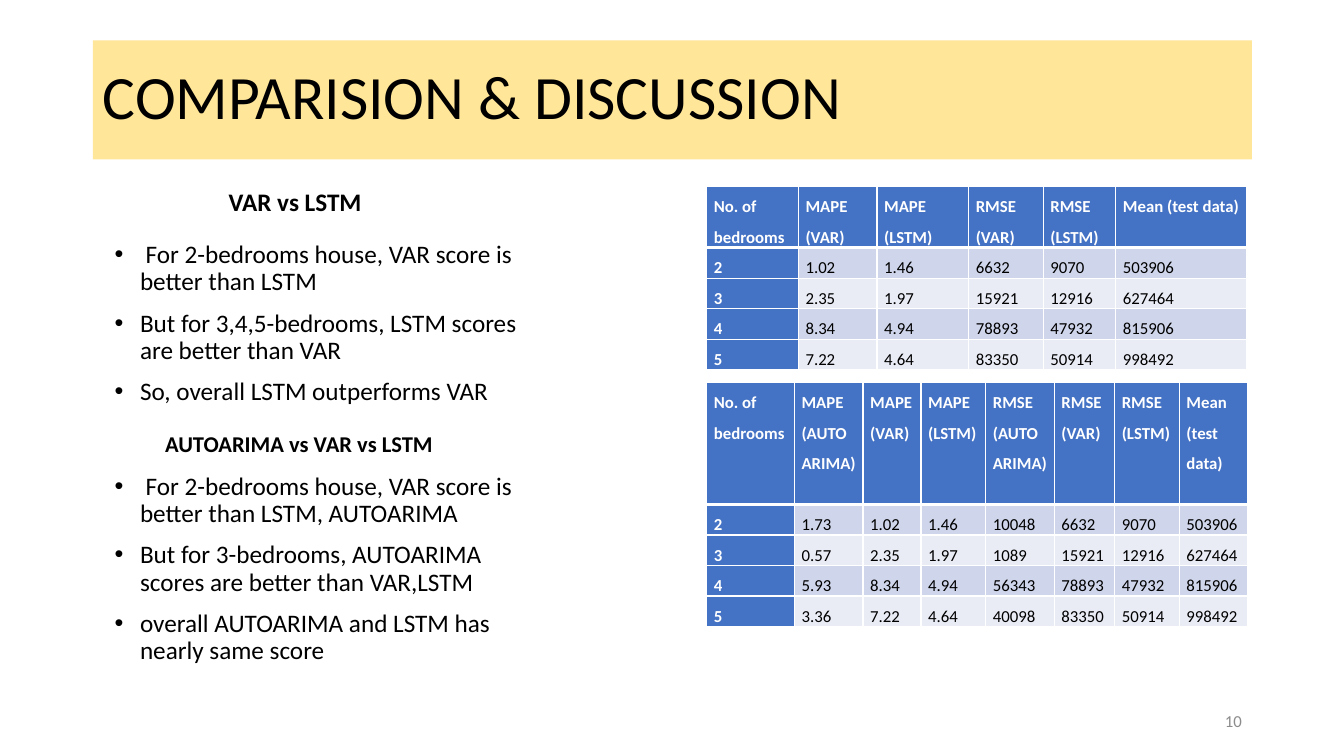
from lxml import etree
from pptx import Presentation
from pptx.dml.color import RGBColor
from pptx.enum.shapes import MSO_SHAPE
from pptx.enum.text import MSO_ANCHOR, PP_ALIGN
from pptx.oxml.ns import qn
from pptx.util import Cm, Pt

RECTANGLE = MSO_SHAPE.RECTANGLE
TOP, MIDDLE = MSO_ANCHOR.TOP, MSO_ANCHOR.MIDDLE
LEFT, RIGHT = PP_ALIGN.LEFT, PP_ALIGN.RIGHT

BLACK = RGBColor(0x00, 0x00, 0x00)
WHITE = RGBColor(0xFF, 0xFF, 0xFF)
GREY = RGBColor(0x8C, 0x8C, 0x8C)
YELLOW = RGBColor(0xFF, 0xE6, 0x99)
BLUE = RGBColor(0x44, 0x72, 0xC4)
BANDS = (RGBColor(0xCF, 0xD5, 0xEA), RGBColor(0xE9, 0xEB, 0xF5))

FONT = "Calibri"
LINE_HEIGHT = 0.77
BULLET_INDENT = Cm(0.64)

BEDROOMS = ("2", "3", "4", "5")
MAPE_VAR = ("1.02", "2.35", "8.34", "7.22")
MAPE_LSTM = ("1.46", "1.97", "4.94", "4.64")
MAPE_AUTOARIMA = ("1.73", "0.57", "5.93", "3.36")
RMSE_VAR = ("6632", "15921", "78893", "83350")
RMSE_LSTM = ("9070", "12916", "47932", "50914")
RMSE_AUTOARIMA = ("10048", "1089", "56343", "40098")
MEAN = ("503906", "627464", "815906", "998492")

VAR_LSTM_COLUMNS = (
    ("No. of bedrooms", 2.31, BEDROOMS),
    ("MAPE (VAR)", 1.98, MAPE_VAR),
    ("MAPE (LSTM)", 2.31, MAPE_LSTM),
    ("RMSE (VAR)", 1.88, RMSE_VAR),
    ("RMSE (LSTM) ", 1.83, RMSE_LSTM),
    ("Mean (test data)", 3.3, MEAN),
)
ALL_MODEL_COLUMNS = (
    ("No. of bedrooms", 2.21, BEDROOMS),
    ("MAPE\n(AUTO ARIMA)", 1.73, MAPE_AUTOARIMA),
    ("MAPE (VAR)", 1.46, MAPE_VAR),
    ("MAPE (LSTM)", 1.63, MAPE_LSTM),
    ("RMSE\n(AUTO\nARIMA)", 1.73, RMSE_AUTOARIMA),
    ("RMSE (VAR)", 1.52, RMSE_VAR),
    ("RMSE (LSTM) ", 1.63, RMSE_LSTM),
    ("Mean (test data)", 1.73, MEAN),
)
VAR_LSTM_POINTS = (
    " For 2-bedrooms house, VAR score is better than LSTM",
    "But for 3,4,5-bedrooms, LSTM scores are better than VAR",
    "So, overall LSTM outperforms VAR",
)
ALL_MODEL_POINTS = (
    " For 2-bedrooms house, VAR score is better than LSTM, AUTOARIMA",
    "But for 3-bedrooms, AUTOARIMA scores are better than VAR,LSTM",
    "overall AUTOARIMA and LSTM has nearly same score",
)


def apply(target, values):
    for name, value in values.items():
        setattr(target, name, value)


def write(frame, lines, size, color=BLACK, bold=False, **layout):
    for index, line in enumerate(lines):
        paragraph = frame.add_paragraph() if index else frame.paragraphs[0]
        apply(paragraph, {"alignment": LEFT, **layout})
        run = paragraph.add_run()
        run.text = line
        apply(run.font, {"name": FONT, "size": Pt(size), "bold": bold})
        run.font.color.rgb = color


def add_text(slide, box, lines, size, anchor=TOP, **style):
    shape = slide.shapes.add_textbox(*map(Cm, box))
    apply(shape.text_frame, {"word_wrap": True, "vertical_anchor": anchor})
    write(shape.text_frame, lines, size, **style)
    return shape


def add_title(slide, box, text):
    shape = slide.shapes.add_shape(RECTANGLE, *map(Cm, box))
    shape.shadow.inherit = False
    shape.fill.solid()
    shape.fill.fore_color.rgb = YELLOW
    shape.line.fill.background()
    apply(shape.text_frame, {"word_wrap": True, "vertical_anchor": MIDDLE})
    write(shape.text_frame, [text], 44, line_spacing=0.9)


def add_bullets(slide, box, points):
    shape = add_text(slide, box, points, 18, line_spacing=0.9, space_before=Pt(10))
    for paragraph in shape.text_frame.paragraphs:
        properties = paragraph._p.get_or_add_pPr()
        properties.set("marL", str(BULLET_INDENT))
        properties.set("indent", str(-BULLET_INDENT))
        etree.SubElement(properties, qn("a:buFont"), typeface="Arial")
        etree.SubElement(properties, qn("a:buChar"), char="•")


def set_borders(cell, row):
    widths = {"L": 1, "R": 1, "T": 3 if row == 1 else 1, "B": 3 if row == 0 else 1}
    properties = cell._tc.get_or_add_tcPr()
    for side, width in widths.items():
        line = etree.SubElement(properties, qn(f"a:ln{side}"), w=str(Pt(width)))
        fill = etree.SubElement(line, qn("a:solidFill"))
        etree.SubElement(fill, qn("a:srgbClr"), val=str(WHITE))


def fill_cell(cell, text, row, column):
    is_header = row == 0 or column == 0
    margin = Cm(0.18)
    apply(cell, {"margin_left": margin, "margin_right": margin,
                 "margin_top": 0, "margin_bottom": 0})
    set_borders(cell, row)
    cell.fill.solid()
    cell.fill.fore_color.rgb = BLUE if is_header else BANDS[(row - 1) % 2]
    write(cell.text_frame, text.split("\n"), 12, WHITE if is_header else BLACK,
          is_header, line_spacing=1.5)


def add_score_table(slide, left, top, columns, header_lines):
    heights = [header_lines * LINE_HEIGHT] + [LINE_HEIGHT] * len(BEDROOMS)
    width = sum(column_width for _, column_width, _ in columns)
    table = slide.shapes.add_table(
        len(heights), len(columns), Cm(left), Cm(top), Cm(width), Cm(sum(heights))
    ).table
    for row, height in zip(table.rows, heights):
        row.height = Cm(height)
    for column, (heading, column_width, values) in enumerate(columns):
        table.columns[column].width = Cm(column_width)
        for row, text in enumerate((heading, *values)):
            fill_cell(table.cell(row, column), text, row, column)


def main():
    presentation = Presentation()
    apply(presentation, {"slide_width": Cm(33.87), "slide_height": Cm(19.05)})
    slide = presentation.slides.add_slide(presentation.slide_layouts[6])

    add_title(slide, (2.34, 1.02, 29.21, 3), "COMPARISION & DISCUSSION")
    add_text(slide, (23.93, 17.65, 7.62, 1.02), ["10"], 12, MIDDLE,
             color=GREY, alignment=RIGHT)
    add_score_table(slide, 17.81, 4.7, VAR_LSTM_COLUMNS, 2)
    add_bullets(slide, (2.64, 5.97, 11.23, 5.16), VAR_LSTM_POINTS)
    add_bullets(slide, (2.64, 11.81, 11.23, 5.16), ALL_MODEL_POINTS)
    add_text(slide, (5.51, 4.65, 3.96, 1.3), ["VAR vs LSTM"], 18,
             bold=True, line_spacing=0.9, space_before=Pt(10))
    add_text(slide, (3.91, 10.85, 7.95, 1.3), ["AUTOARIMA vs VAR vs LSTM"], 16.1,
             bold=True, line_spacing=0.8, space_before=Pt(10))
    add_score_table(slide, 17.81, 9.63, ALL_MODEL_COLUMNS, 4)

    presentation.save("out.pptx")


main()
